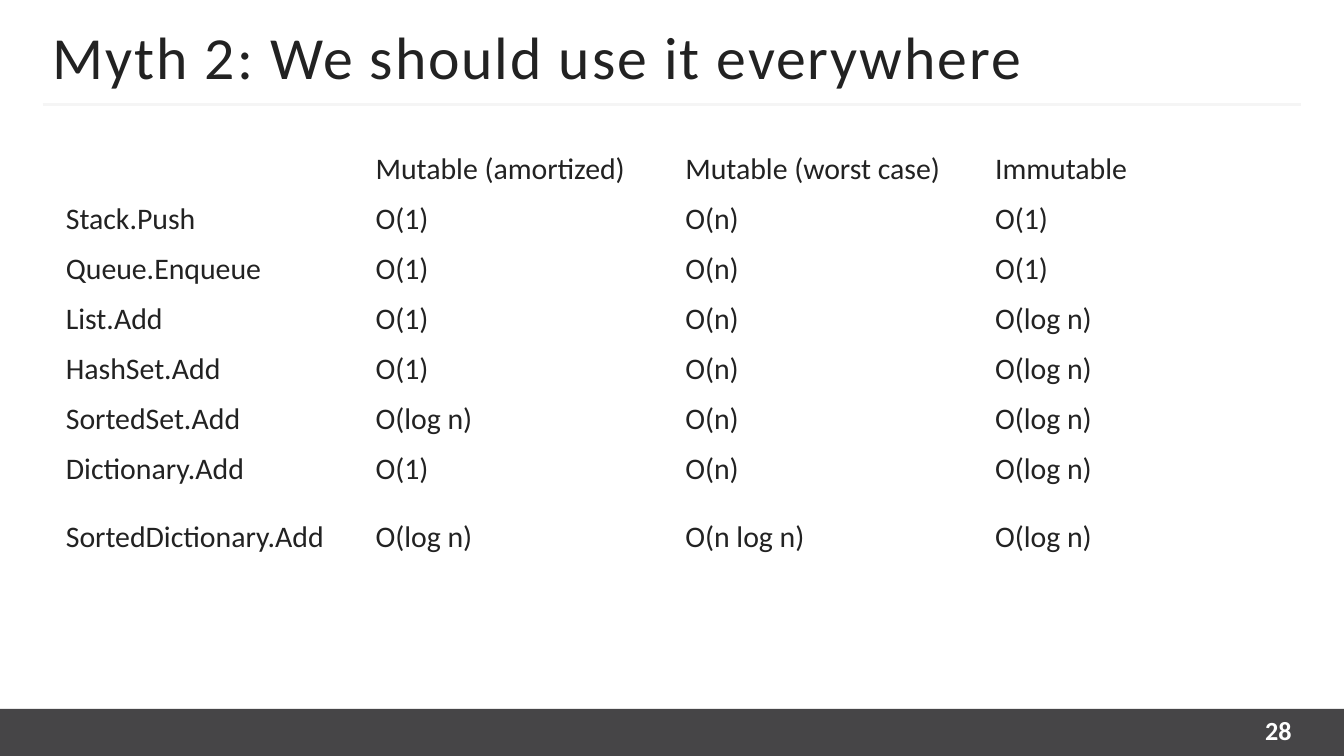
from lxml import etree
from pptx import Presentation
from pptx.dml.color import RGBColor
from pptx.enum import shapes, text
from pptx.oxml.ns import qn
from pptx.util import Inches, Pt

# Content
TITLE = "Myth 2: We should use it everywhere"
PAGE_NUMBER = "28"
COMPLEXITIES = [
    ("", "Mutable (amortized)", "Mutable (worst case)", "Immutable"),
    ("Stack.Push", "O(1)", "O(n)", "O(1)"),
    ("Queue.Enqueue", "O(1)", "O(n)", "O(1)"),
    ("List.Add", "O(1)", "O(n)", "O(log n)"),
    ("HashSet.Add", "O(1)", "O(n)", "O(log n)"),
    ("SortedSet.Add", "O(log n)", "O(n)", "O(log n)"),
    ("Dictionary.Add", "O(1)", "O(n)", "O(log n)"),
    ("SortedDictionary.Add", "O(log n)", "O(n log n)", "O(log n)"),
]

# Style
FONT = "Calibri"
INK = RGBColor(0x22, 0x22, 0x22)
WHITE = RGBColor(0xFF, 0xFF, 0xFF)
NUMBER_COLOR = RGBColor(0xFE, 0xFE, 0xFE)
FOOTER_COLOR = RGBColor(0x46, 0x45, 0x47)
RULE_COLOR = RGBColor(0xF5, 0xF5, 0xF5)
WIDTH = 10
HEIGHT = WIDTH * 9 / 16
MARGIN = 0.39
CONTENT_WIDTH = WIDTH - 2 * MARGIN
FOOTER_HEIGHT = 0.35
FOOTER_TOP = HEIGHT - FOOTER_HEIGHT
ROW_HEIGHT, LAST_ROW_HEIGHT = 0.36, 0.64


def format_runs(frame, size, color, bold=False):
    for para in frame.paragraphs:
        for span in para.runs:
            span.font.name = FONT
            span.font.size = Pt(size)
            span.font.bold = bold
            span.font.color.rgb = color


def set_insets(frame, left, top, right, bottom):
    frame.margin_left, frame.margin_top = Inches(left), Inches(top)
    frame.margin_right, frame.margin_bottom = Inches(right), Inches(bottom)


deck = Presentation()
deck.slide_width, deck.slide_height = Inches(WIDTH), Inches(HEIGHT)
page = deck.slides.add_slide(deck.slide_layouts[5])

# Footer band
band = page.shapes.add_shape(shapes.MSO_SHAPE.RECTANGLE, 0, Inches(FOOTER_TOP),
                             Inches(WIDTH), Inches(FOOTER_HEIGHT))
band.shadow.inherit = False
band.fill.solid()
band.fill.fore_color.rgb = FOOTER_COLOR
band.line.fill.background()

# Rule under the title
rule = page.shapes.add_connector(shapes.MSO_CONNECTOR.STRAIGHT, Inches(0.32),
                                 Inches(0.78), Inches(9.68), Inches(0.78))
rule.line.color.rgb = RULE_COLOR
rule.line.width = Pt(1.5)
etree.SubElement(rule._element.spPr, qn("a:effectLst"))

# Title
title = page.shapes.title
title.left, title.top = Inches(MARGIN), Inches(0.25)
title.width, title.height = Inches(CONTENT_WIDTH), Inches(0.33)
frame = title.text_frame
frame.text = TITLE
frame.word_wrap = True
frame.auto_size = text.MSO_AUTO_SIZE.NONE
frame.vertical_anchor = text.MSO_ANCHOR.MIDDLE
set_insets(frame, 0, 0.05, 0, 0.05)
format_runs(frame, 32, INK)
para = frame.paragraphs[0]
para.alignment = text.PP_ALIGN.LEFT
para.space_before = Pt(3)
para.runs[0].font._element.set("spc", "100")

# Complexity table
row_count, column_count = len(COMPLEXITIES), len(COMPLEXITIES[0])
table_height = ROW_HEIGHT * (row_count - 1) + LAST_ROW_HEIGHT
table = page.shapes.add_table(row_count, column_count, Inches(MARGIN), Inches(1.07),
                              Inches(CONTENT_WIDTH), Inches(table_height)).table
table.first_row = table.horz_banding = False
for column in table.columns:
    column.width = Inches(CONTENT_WIDTH / column_count)
for row, values in zip(table.rows, COMPLEXITIES):
    row.height = Inches(ROW_HEIGHT)
    for cell, value in zip(row.cells, values):
        cell.fill.solid()
        cell.fill.fore_color.rgb = WHITE
        cell.vertical_anchor = text.MSO_ANCHOR.MIDDLE
        frame = cell.text_frame
        frame.text = value
        format_runs(frame, 16, INK)
        # Keeps an empty cell from stretching its row
        etree.SubElement(frame.paragraphs[0]._p, qn("a:endParaRPr"), sz="1600")
table.rows[row_count - 1].height = Inches(LAST_ROW_HEIGHT)

# Page number
number = page.shapes.add_textbox(Inches(WIDTH - MARGIN - 1.5), Inches(FOOTER_TOP),
                                 Inches(1.5), Inches(FOOTER_HEIGHT))
frame = number.text_frame
frame.text = PAGE_NUMBER
frame.word_wrap = True
frame.vertical_anchor = text.MSO_ANCHOR.MIDDLE
set_insets(frame, 0.1, 0.05, 0, 0.09)
format_runs(frame, 14, NUMBER_COLOR, bold=True)
frame.paragraphs[0].alignment = text.PP_ALIGN.RIGHT

deck.save("out.pptx")
